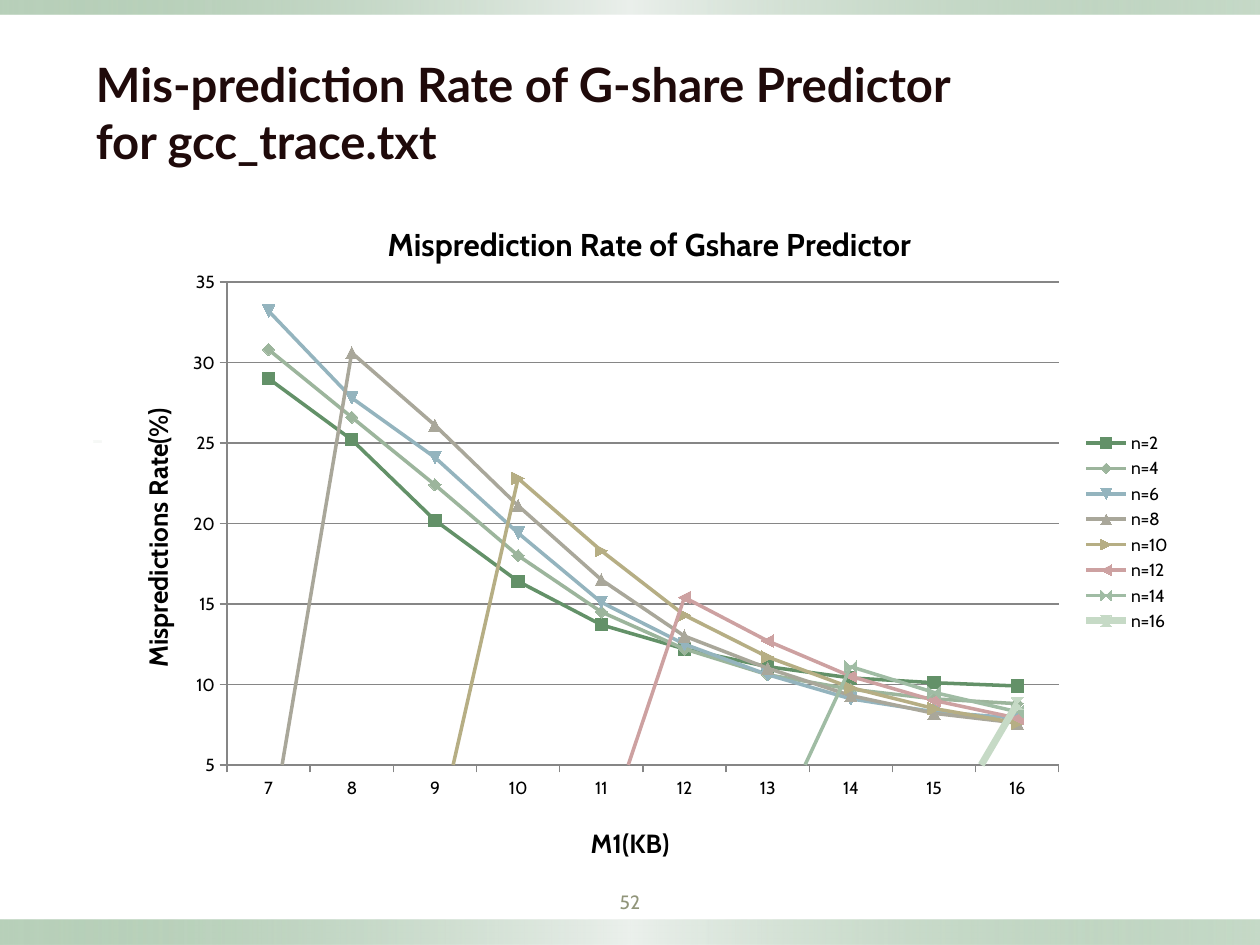
from dataclasses import dataclass
from typing import Optional

from lxml.etree import SubElement
from pptx import Presentation
from pptx.chart.data import CategoryChartData
from pptx.dml.color import RGBColor
from pptx.enum.chart import XL_CHART_TYPE as ChartType
from pptx.enum.chart import XL_LEGEND_POSITION as LegendPos
from pptx.enum.chart import XL_TICK_MARK as Tick
from pptx.enum.shapes import MSO_SHAPE as Shape
from pptx.enum.text import MSO_ANCHOR as Anchor
from pptx.enum.text import PP_ALIGN as Align
from pptx.oxml import parse_xml
from pptx.oxml.ns import nsdecls, qn
from pptx.util import Emu, Pt

PX = 914400 / 126


@dataclass(frozen=True)
class Theme:
    heading_font: str = "Lato"
    body_font: str = "Cabin"
    heading: str = "1F0A0A"
    number: str = "91957A"
    text: str = "000000"
    axis: str = "868686"
    paper: str = "FFFFFF"
    heading_pt: int = 27
    chart_title_pt: int = 18
    axis_title_pt: int = 15
    number_pt: int = 11
    chart_pt: int = 10


@dataclass(frozen=True)
class Box:
    x: int
    y: int
    w: int
    h: int

    def emu(self) -> list[Emu]:
        return [px(n) for n in (self.x, self.y, self.w, self.h)]


@dataclass(frozen=True)
class Stop:
    pos: int
    color: str
    alpha: int = 100


@dataclass(frozen=True)
class Band:
    box: Box
    stops: tuple[Stop, ...]


@dataclass(frozen=True)
class Curve:
    """One history length n; its rates end at the last category."""
    n: int
    color: str
    rates: tuple[float, ...]
    width: float = 2


THEME = Theme()
EDGE = (Stop(0, "72A376", 50), Stop(50, "EBF0EC"), Stop(100, "72A376", 40))
RULE = (Stop(0, "D5E0D6", 20), Stop(50, "72A376", 40), Stop(100, "D5E0D6", 50))
BANDS = (
    Band(Box(0, 920, 1260, 25), EDGE),
    Band(Box(0, 0, 1260, 15), EDGE),
    Band(Box(94, 441, 1071, 2), RULE),
)
CHART = Box(102, 187, 1082, 692)
SIZES = range(7, 17)
CURVES = (
    Curve(2, "639168", (29, 25.2, 20.2, 16.4, 13.7, 12.2, 11.1, 10.4, 10.1, 9.9)),
    Curve(4, "9CB59C", (30.8, 26.6, 22.4, 18, 14.5, 12.2, 10.6, 9.7, 9.1, 8.8)),
    Curve(6, "94B4BE", (33.2, 27.8, 24.1, 19.4, 15.1, 12.5, 10.6, 9.1, 8.3, 7.9)),
    Curve(8, "A9A79A", (30.6, 26.1, 21.1, 16.5, 13, 11, 9.3, 8.2, 7.6)),
    Curve(10, "B6AE84", (22.8, 18.3, 14.3, 11.7, 9.8, 8.5, 7.6)),
    Curve(12, "CDA1A1", (15.4, 12.7, 10.5, 9, 7.9)),
    Curve(14, "A0BCA4", (11.1, 9.5, 8.3)),
    Curve(16, "C6DAC6", (8.8,), 4),
)


def px(n: int) -> Emu:
    return Emu(round(n * PX))


def rgb(color: str) -> RGBColor:
    return RGBColor.from_string(color)


def set_font(font, name: str, size: int, color: str, bold: bool = False) -> None:
    font.name, font.size, font.bold = name, Pt(size), bold
    font.color.rgb = rgb(color)


def add_band(slide, band: Band) -> None:
    s = slide.shapes.add_shape(Shape.RECTANGLE, *band.box.emu())
    s.shadow.inherit = False
    s.line.fill.background()
    s.fill.gradient()
    s.fill.gradient_angle = 0
    stops = s._element.spPr.find(qn("a:gradFill")).find(qn("a:gsLst"))
    for old in list(stops):
        stops.remove(old)
    for stop in band.stops:
        gs = SubElement(stops, qn("a:gs"), pos=str(stop.pos * 1000))
        color = SubElement(gs, qn("a:srgbClr"), val=stop.color)
        SubElement(color, qn("a:alpha"), val=str(stop.alpha * 1000))


def add_text(slide, box: Box, text: str, anchor: Anchor, align: Align,
             insets: tuple[int, int]):
    tf = slide.shapes.add_textbox(*box.emu()).text_frame
    tf.word_wrap = True
    tf.vertical_anchor = anchor
    tf.margin_left = tf.margin_right = px(insets[0])
    tf.margin_top = tf.margin_bottom = px(insets[1])
    p = tf.paragraphs[0]
    p.text, p.alignment = text, align
    return p


def place(element, x: int, y: int, w: Optional[int] = None, h: Optional[int] = None,
          after: Optional[str] = None) -> None:
    """Fix a chart part at slide coordinates, putting its layout after the named child."""
    parts = [("x", (x - CHART.x) / CHART.w), ("y", (y - CHART.y) / CHART.h)]
    modes = '<c:xMode val="edge"/><c:yMode val="edge"/>'
    if w and h:
        parts += [("w", w / CHART.w), ("h", h / CHART.h)]
    values = "".join(f'<c:{tag} val="{v:.4f}"/>' for tag, v in parts)
    target = '<c:layoutTarget val="inner"/>' if after is None else ""
    layout = parse_xml(f'<c:layout {nsdecls("c")}><c:manualLayout>{target}{modes}'
                       f'{values}</c:manualLayout></c:layout>')
    old = element.find(qn("c:layout"))
    if old is not None:
        element.remove(old)
    if after is None:
        element.insert(0, layout)
    else:
        element.find(qn(after)).addnext(layout)


def set_title(title, text: str, size: int, x: int, y: int) -> None:
    p = title.text_frame.paragraphs[0]
    p.text = text
    set_font(p.font, THEME.body_font, size, THEME.text, True)
    place(title._element, x, y, after="c:tx")


def style_line(line, color: str, width: float) -> None:
    line.color.rgb, line.width = rgb(color), Pt(width)


def add_rate_chart(slide) -> None:
    data = CategoryChartData()
    data.categories = [str(size) for size in SIZES]
    for curve in CURVES:
        gap = (None,) * (len(SIZES) - len(curve.rates))
        data.add_series(f"n={curve.n}", gap + curve.rates)
    chart = slide.shapes.add_chart(ChartType.LINE_MARKERS, *CHART.emu(), data).chart
    set_font(chart.font, THEME.body_font, THEME.chart_pt, THEME.text)
    space = chart._chartSpace
    space.find(qn("c:txPr")).addprevious(parse_xml(
        f'<c:spPr {nsdecls("c", "a")}><a:solidFill><a:srgbClr val="{THEME.paper}"/>'
        '</a:solidFill><a:ln><a:noFill/></a:ln></c:spPr>'))
    space.chart.find(qn("c:dispBlanksAs")).set("val", "zero")

    chart.has_title = True
    set_title(chart.chart_title, "Misprediction Rate of Gshare Predictor",
              THEME.chart_title_pt, 382, 217)
    cat, val = chart.category_axis, chart.value_axis
    set_title(cat.axis_title, "M1(KB)", THEME.axis_title_pt, 586, 821)
    set_title(val.axis_title, "Mispredictions Rate(%)", THEME.axis_title_pt, 135, 403)
    for axis in (cat, val):
        axis.major_tick_mark, axis.minor_tick_mark = Tick.OUTSIDE, Tick.NONE
        style_line(axis.format.line, THEME.axis, 0.75)
    val.minimum_scale, val.maximum_scale, val.major_unit = 5, 35, 5
    style_line(val.major_gridlines.format.line, THEME.axis, 0.75)

    chart.has_legend = True
    chart.legend.position = LegendPos.RIGHT
    chart.legend.include_in_layout = False
    place(chart.legend._element, 1082, 428, 90, 208, after="c:legendPos")
    place(space.chart.plotArea, 227, 282, 832, 483)

    chart.plots[0].vary_by_categories = False
    for series, curve in zip(chart.plots[0].series, CURVES):
        series.smooth = False
        style_line(series.format.line, curve.color, curve.width)
        marker = series.marker
        marker.size = 7
        marker.format.fill.solid()
        marker.format.fill.fore_color.rgb = rgb(curve.color)
        style_line(marker.format.line, curve.color, 0.75)


def main() -> None:
    prs = Presentation()
    prs.slide_width, prs.slide_height = px(1260), px(945)
    slide = prs.slides.add_slide(prs.slide_layouts[6])
    for band in BANDS:
        add_band(slide, band)
    number = add_text(slide, Box(567, 882, 126, 39), "52", Anchor.MIDDLE, Align.CENTER, (6, 6))
    set_font(number.font, THEME.body_font, THEME.number_pt, THEME.number)
    heading = add_text(slide, Box(87, 72, 926, 102),
                       "Mis-prediction Rate of G-share Predictor for gcc_trace.txt",
                       Anchor.BOTTOM, Align.LEFT, (9, 5))
    set_font(heading.font, THEME.heading_font, THEME.heading_pt, THEME.heading, True)
    add_rate_chart(slide)
    prs.save("out.pptx")


if __name__ == "__main__":
    main()
